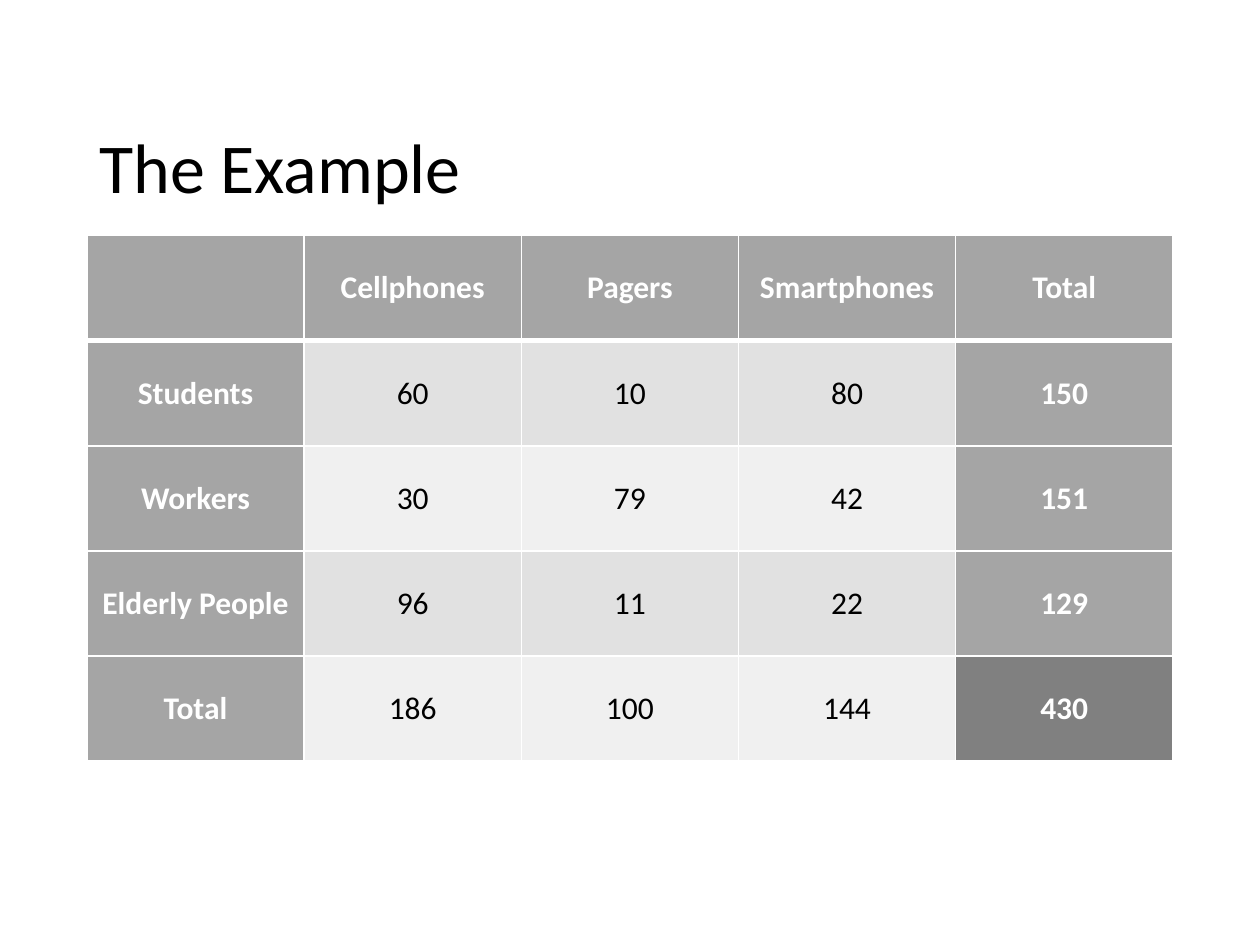
from dataclasses import dataclass

from lxml import etree
from pptx import Presentation
from pptx import util as u
from pptx.dml.color import RGBColor
from pptx.enum import text
from pptx.oxml.ns import qn

COLORS = {
    "ink": "000000",
    "paper": "FFFFFF",
    "header": "A5A5A5",
    "band_dark": "E1E1E1",
    "band_light": "F0F0F0",
    "grand_total": "808080",
}
FONT = "Calibri"
SLIDE_W, SLIDE_H = 10, 7.5
LEFT, WIDTH = 0.69, 8.62
TITLE_TOP, TITLE_H = 0.42, 1.45
TABLE_TOP, TABLE_H = TITLE_TOP + TITLE_H, 4.17

COUNTS = [
    ["", "Cellphones", "Pagers", "Smartphones", "Total"],
    ["Students", "60", "10", "80", "150"],
    ["Workers", "30", "79", "42", "151"],
    ["Elderly People", "96", "11", "22", "129"],
    ["Total", "186", "100", "144", "430"],
]
LAST_ROW, LAST_COL = len(COUNTS) - 1, len(COUNTS[0]) - 1


@dataclass(frozen=True)
class CellStyle:
    fill: str
    ink: str
    bold: bool


HEADER = CellStyle("header", "paper", True)
GRAND_TOTAL = CellStyle("grand_total", "paper", True)
BAND_DARK = CellStyle("band_dark", "ink", False)
BAND_LIGHT = CellStyle("band_light", "ink", False)


def style_for(row: int, col: int) -> CellStyle:
    if (row, col) == (LAST_ROW, LAST_COL):
        return GRAND_TOTAL
    if row == 0 or col in (0, LAST_COL):
        return HEADER
    return BAND_DARK if row % 2 else BAND_LIGHT


def add_run(paragraph, words: str, size: float, ink: str, bold: bool = False) -> None:
    run = paragraph.add_run()
    run.text = words
    run.font.name = FONT
    run.font.size = u.Pt(size)
    run.font.bold = bold
    run.font.color.rgb = RGBColor.from_string(COLORS[ink])


def add_borders(cell, widths: dict[str, float]) -> None:
    properties = cell._tc.get_or_add_tcPr()
    for side, points in widths.items():
        line = etree.SubElement(properties, qn(f"a:ln{side}"), w=str(u.Pt(points)))
        fill = etree.SubElement(line, qn("a:solidFill"))
        etree.SubElement(fill, qn("a:srgbClr"), val=COLORS["paper"])


def fill_cell(cell, words: str, row: int, col: int) -> None:
    style = style_for(row, col)
    # The rule under the header row is heavier than the rest
    add_borders(cell, {"L": 1, "R": 1, "T": 3 if row == 1 else 1, "B": 3 if row == 0 else 1})
    cell.fill.solid()
    cell.fill.fore_color.rgb = RGBColor.from_string(COLORS[style.fill])
    cell.vertical_anchor = text.MSO_ANCHOR.MIDDLE
    paragraph = cell.text_frame.paragraphs[0]
    paragraph.alignment = text.PP_ALIGN.CENTER
    if words:
        add_run(paragraph, words, 18, style.ink, style.bold)


def add_title(slide, words: str) -> None:
    box = slide.shapes.add_textbox(
        u.Inches(LEFT), u.Inches(TITLE_TOP), u.Inches(WIDTH), u.Inches(TITLE_H))
    frame = box.text_frame
    frame.word_wrap = True
    frame.vertical_anchor = text.MSO_ANCHOR.MIDDLE
    heading = frame.paragraphs[0]
    heading.line_spacing = 1.5
    add_run(heading, words, 40, "ink")


def add_counts(slide) -> None:
    counts = slide.shapes.add_table(
        len(COUNTS), len(COUNTS[0]),
        u.Inches(LEFT), u.Inches(TABLE_TOP), u.Inches(WIDTH), u.Inches(TABLE_H)).table
    for row, entries in enumerate(COUNTS):
        for col, words in enumerate(entries):
            fill_cell(counts.cell(row, col), words, row, col)


deck = Presentation()
deck.slide_width, deck.slide_height = u.Inches(SLIDE_W), u.Inches(SLIDE_H)
example = deck.slides.add_slide(deck.slide_layouts[6])

# Heading above the table of device counts
add_title(example, "The Example")
add_counts(example)

deck.save("out.pptx")
